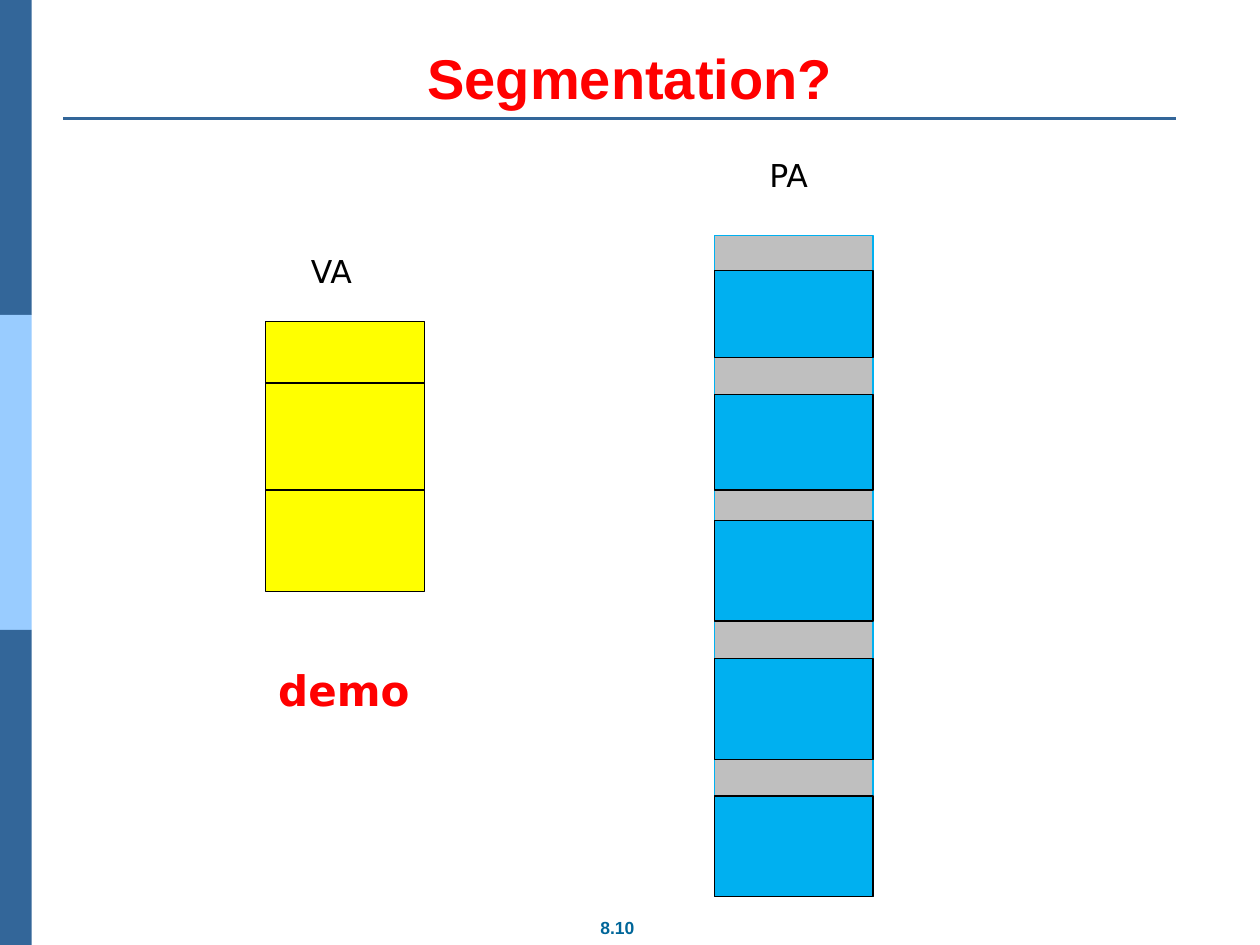
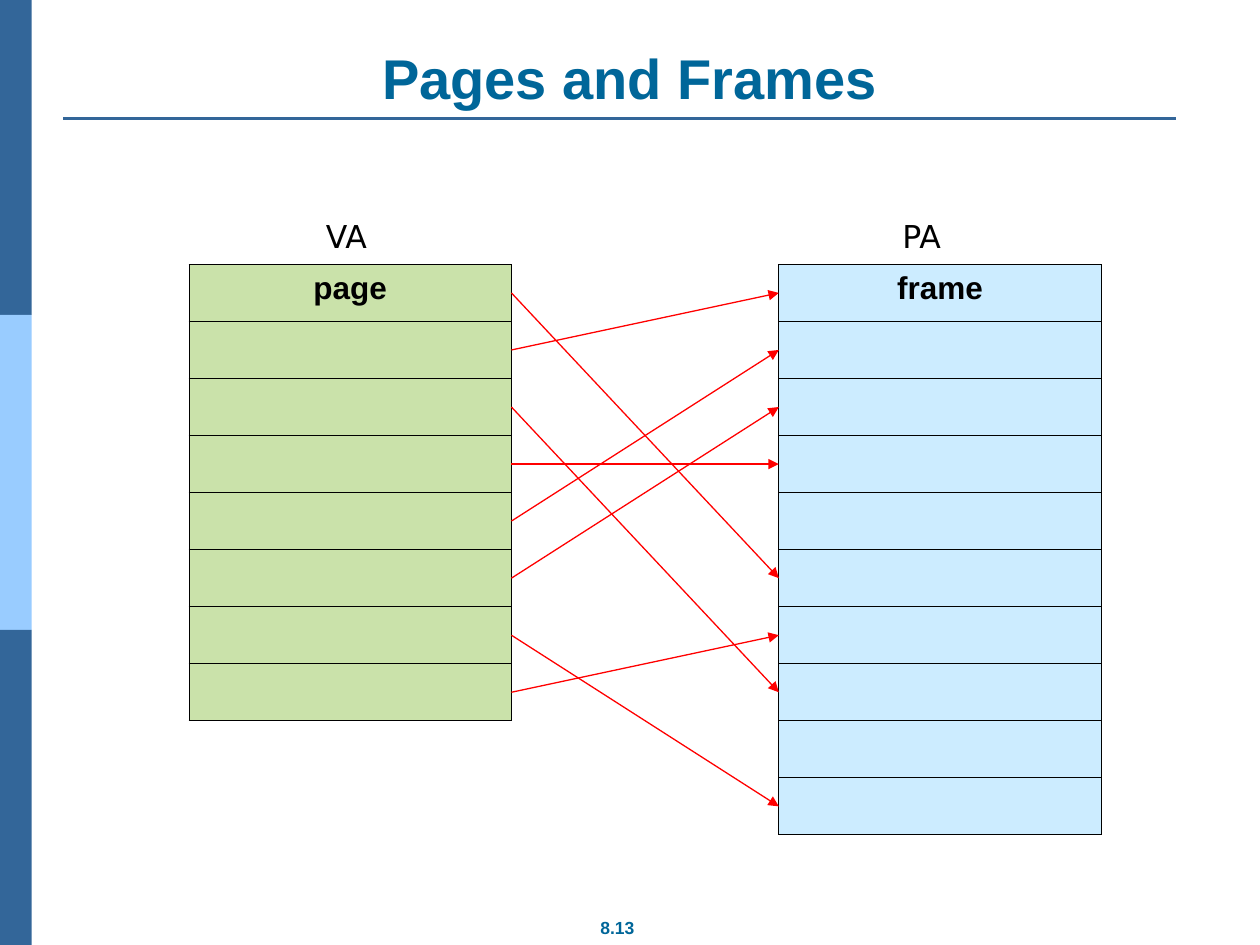
import dataclasses

import pptx
import pptx.dml.color
import pptx.enum.shapes
import pptx.enum.text
import pptx.oxml
import pptx.oxml.ns
import pptx.util
from pptx.util import Cm

COLORS = {
    "band": "336699",
    "light_band": "99CCFF",
    "title": "006699",
    "red": "FF0000",
    "black": "000000",
    "free_memory": "BFBFBF",
    "used_memory": "00B0F0",
    "segment": "FFFF00",
    "page": "CAE2AA",
    "frame": "CCECFF",
}
HEADING_FONT = "Arial"
LABEL_FONT = "DejaVu Sans"
ROW_HEIGHT = 1.15
PAGE_TO_FRAME = [5, 0, 7, 3, 1, 2, 9, 6]


@dataclasses.dataclass
class Box:
    left: float
    top: float
    width: float
    height: float

    def lengths(self):
        return Cm(self.left), Cm(self.top), Cm(self.width), Cm(self.height)


def rgb(name):
    return pptx.dml.color.RGBColor.from_string(COLORS[name])


def add_run(paragraph, text, size, color, font_name, bold=False):
    run = paragraph.add_run()
    run.text = text
    run.font.size = pptx.util.Pt(size)
    run.font.name = font_name
    run.font.bold = bold
    run.font.color.rgb = rgb(color)


def add_rectangle(slide, box, fill, outline=None):
    shape = slide.shapes.add_shape(
        pptx.enum.shapes.MSO_SHAPE.RECTANGLE, *box.lengths())
    shape.shadow.inherit = False
    shape.fill.solid()
    shape.fill.fore_color.rgb = rgb(fill)
    if outline:
        shape.line.color.rgb = rgb(outline)
        shape.line.width = pptx.util.Pt(0.75)
    else:
        shape.line.fill.background()


def add_line(slide, start, end, color, width=0.75, arrow=False):
    connector = slide.shapes.add_connector(
        pptx.enum.shapes.MSO_CONNECTOR.STRAIGHT,
        Cm(start[0]), Cm(start[1]), Cm(end[0]), Cm(end[1]))
    connector.line.color.rgb = rgb(color)
    connector.line.width = pptx.util.Pt(width)
    if arrow:
        outline = connector.line._get_or_add_ln()
        outline.append(pptx.oxml.parse_xml(
            f'<a:tailEnd {pptx.oxml.ns.nsdecls("a")} type="triangle"/>'))
    connector._element.spPr.append(pptx.oxml.parse_xml(
        f'<a:effectLst {pptx.oxml.ns.nsdecls("a")}/>'))


def add_text(slide, box, text, size=18, color="black", font_name=LABEL_FONT,
             bold=False, alignment=pptx.enum.text.PP_ALIGN.LEFT):
    text_box = slide.shapes.add_textbox(*box.lengths())
    text_box.text_frame.word_wrap = True
    paragraph = text_box.text_frame.paragraphs[0]
    paragraph.alignment = alignment
    add_run(paragraph, text, size, color, font_name, bold)


def add_side_bands(slide, box):
    height = box.height / 3
    for index, color in enumerate(["band", "light_band", "band"]):
        add_rectangle(
            slide, Box(box.left, box.top + index * height, box.width, height), color)


def add_title(slide, box, text, color):
    title = slide.shapes.title
    title.left, title.top, title.width, title.height = box.lengths()
    frame = title.text_frame
    frame.auto_size = pptx.enum.text.MSO_AUTO_SIZE.NONE
    frame.vertical_anchor = pptx.enum.text.MSO_ANCHOR.BOTTOM
    paragraph = frame.paragraphs[0]
    paragraph.alignment = pptx.enum.text.PP_ALIGN.CENTER
    add_run(paragraph, text, 32, color, HEADING_FONT, bold=True)
    rule_top = box.top + box.height + 0.03
    add_line(slide, (box.left, rule_top), (23.7, rule_top), "band", 1.5)


def add_base_slide(presentation, title, number, title_color="title"):
    slide = presentation.slides.add_slide(presentation.slide_layouts[5])
    add_side_bands(slide, Box(0, 0, 0.64, 19.05))
    add_title(slide, Box(1.27, 0.76, 22.86, 1.6), title, title_color)
    add_text(slide, Box(11.2, 18.36, 2.49, 0.69), number, 10, "title",
             HEADING_FONT, True, pptx.enum.text.PP_ALIGN.CENTER)
    return slide


def add_virtual_memory(slide, box):
    add_rectangle(slide, box, "segment", "black")
    for offset in (1.24, 3.4):
        top = box.top + offset
        add_line(slide, (box.left, top), (box.left + box.width, top), "black")
    add_text(slide, Box(box.left + 0.66, box.top - 1.52, 2.84, 1.02), "VA")
    add_text(slide, Box(box.left, box.top + 6.8, 6.27, 1.27),
             "demo", 24, "red", bold=True)


def add_physical_memory(slide, box):
    add_rectangle(slide, box, "free_memory", "used_memory")
    used_blocks = [(0.71, 1.75), (3.2, 1.93), (5.74, 2.03), (8.53, 2.03), (11.3, 2.03)]
    for offset, height in used_blocks:
        add_rectangle(slide, Box(box.left, box.top + offset, box.width, height),
                      "used_memory", "black")
    add_text(slide, Box(box.left + 0.86, box.top - 1.73, 2.84, 1.02), "PA")


def set_cell_borders(cell):
    properties = cell._tc.get_or_add_tcPr()
    for side in ("lnL", "lnR", "lnT", "lnB"):
        properties.append(pptx.oxml.parse_xml(
            f'<a:{side} {pptx.oxml.ns.nsdecls("a")} w="{pptx.util.Pt(0.45)}">'
            f'<a:solidFill><a:srgbClr val="{COLORS["black"]}"/></a:solidFill>'
            f'</a:{side}>'))


def add_memory_table(slide, box, heading, label, label_offset):
    row_count = round(box.height / ROW_HEIGHT)
    table = slide.shapes.add_table(row_count, 1, *box.lengths()).table
    table.first_row = False
    table.horz_banding = False
    for row in table.rows:
        row.height = Cm(ROW_HEIGHT)
        cell = row.cells[0]
        set_cell_borders(cell)
        cell.fill.solid()
        cell.fill.fore_color.rgb = rgb(heading)
    paragraph = table.cell(0, 0).text_frame.paragraphs[0]
    paragraph.alignment = pptx.enum.text.PP_ALIGN.CENTER
    add_run(paragraph, heading, 18, "black", HEADING_FONT, bold=True)
    add_text(slide, Box(box.left + label_offset, box.top - 1.07, 3, 1.02), label)


def add_mapping_arrows(slide, box):
    def row_middle(row):
        return box.top + (row + 0.5) * ROW_HEIGHT

    for page, frame in enumerate(PAGE_TO_FRAME):
        add_line(slide, (box.left, row_middle(page)),
                 (box.left + box.width, row_middle(frame)), "red", arrow=True)


def add_segmentation_slide(presentation):
    slide = add_base_slide(presentation, "Segmentation?", "8.10", "red")
    add_virtual_memory(slide, Box(5.36, 6.48, 3.2, 5.44))
    add_physical_memory(slide, Box(14.4, 4.75, 3.2, 13.33))


def add_paging_slide(presentation):
    slide = add_base_slide(presentation, "Pages and Frames", "8.13")
    pages = Box(3.81, 5.33, 6.5, 8 * ROW_HEIGHT)
    frames = Box(15.7, pages.top, pages.width, 10 * ROW_HEIGHT)
    add_memory_table(slide, pages, "page", "VA", 2.51)
    add_memory_table(slide, frames, "frame", "PA", 2.24)
    pages_right = pages.left + pages.width
    add_mapping_arrows(slide, Box(
        pages_right, pages.top, frames.left - pages_right, frames.height))


def main():
    presentation = pptx.Presentation()
    presentation.slide_width = Cm(25.4)
    presentation.slide_height = Cm(19.05)
    add_segmentation_slide(presentation)
    add_paging_slide(presentation)
    presentation.save("out.pptx")


if __name__ == "__main__":
    main()
